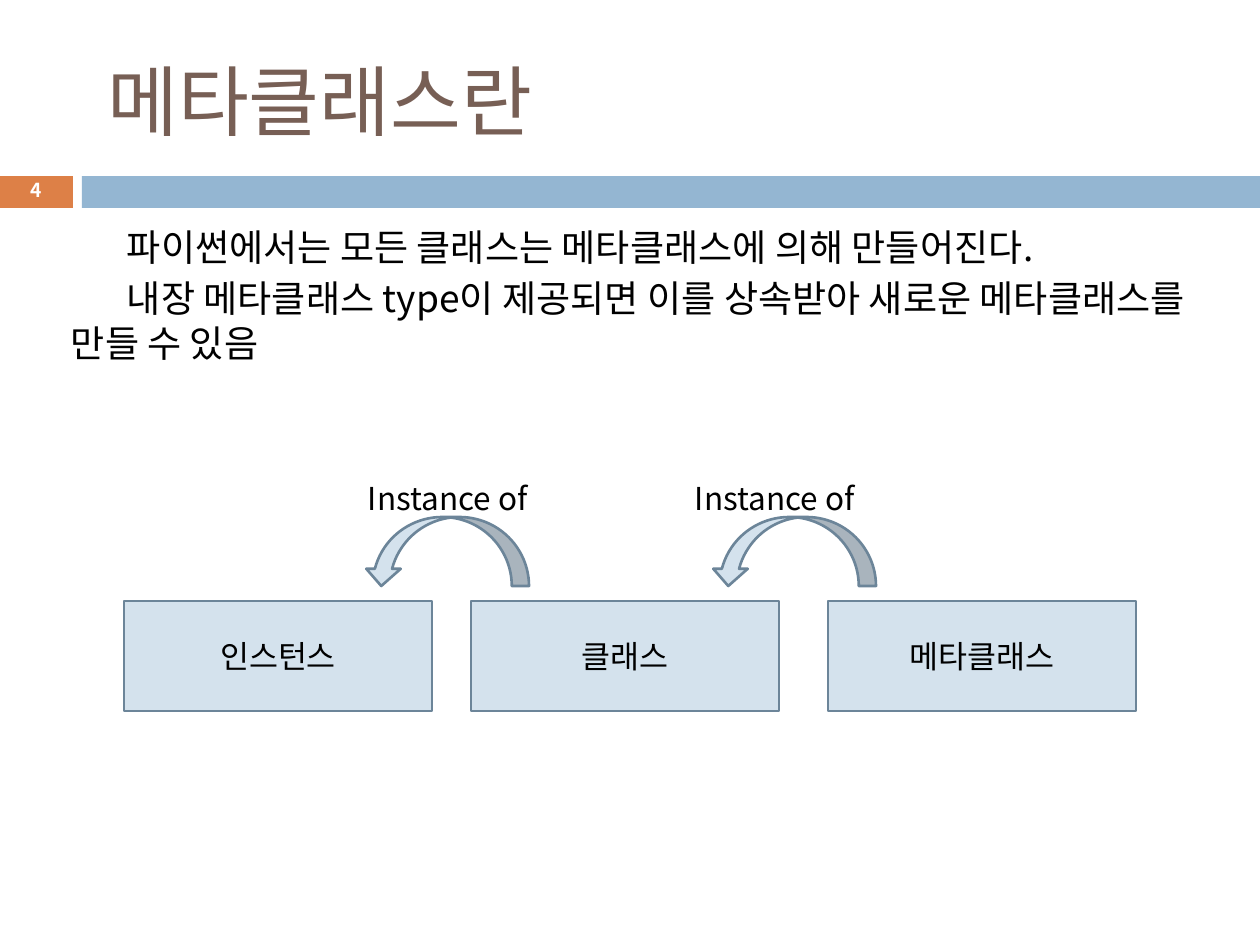
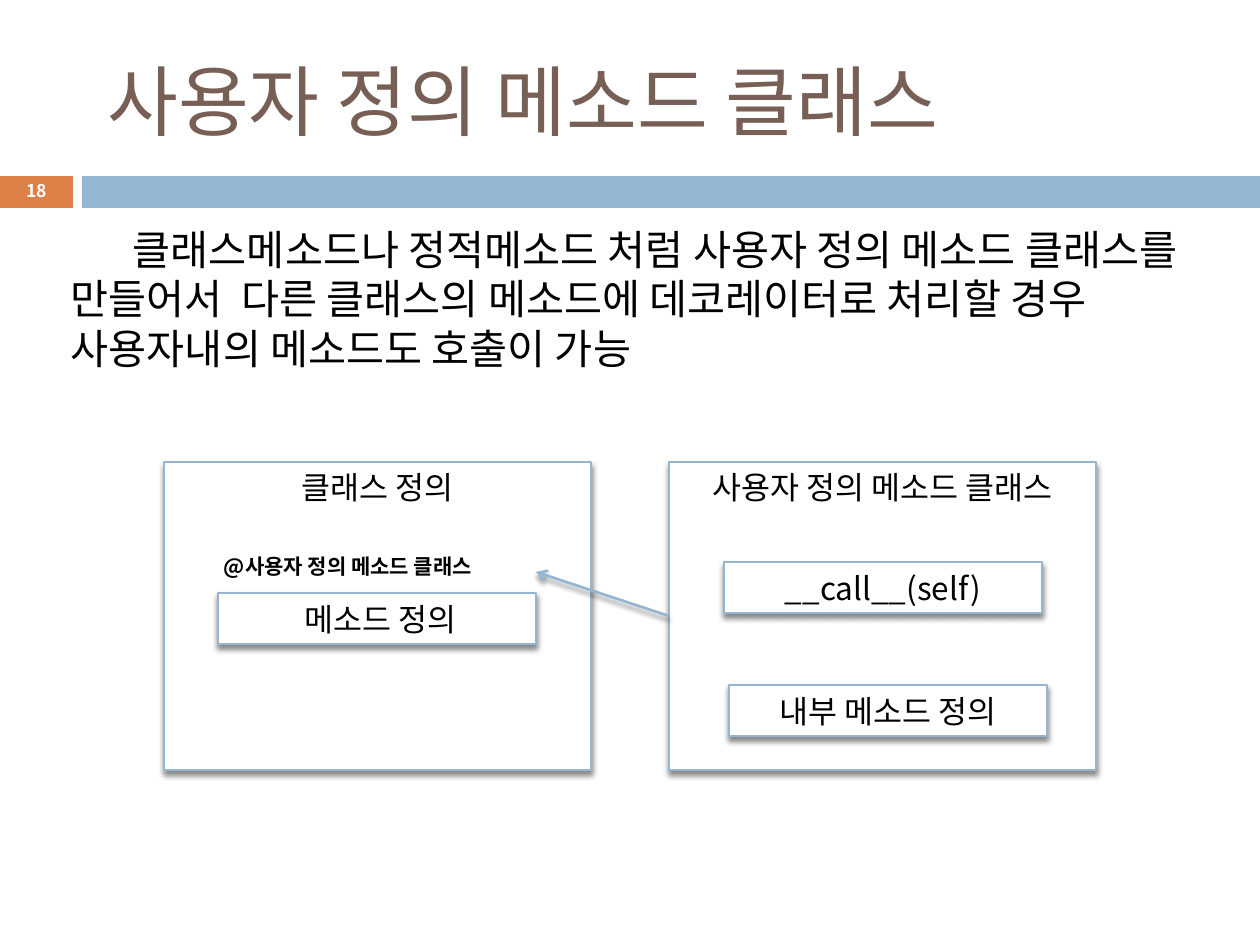
from lxml import etree
from pptx import Presentation
from pptx import util as u
from pptx.dml.color import RGBColor
from pptx.enum import shapes, text
from pptx.oxml import ns

SCALE = 914400 / 126  # EMU in one pixel
FONT = "Noto Sans CJK KR"
BLACK = RGBColor(0x00, 0x00, 0x00)
WHITE = RGBColor(0xFF, 0xFF, 0xFF)
BROWN = RGBColor(0x77, 0x5F, 0x55)
ORANGE = RGBColor(0xDD, 0x80, 0x47)
BLUE = RGBColor(0x94, 0xB6, 0xD2)
PALE_BLUE = RGBColor(0xD4, 0xE2, 0xED)
SLATE = RGBColor(0x6C, 0x85, 0x99)
INSET = 6
LEFT, CENTER = text.PP_ALIGN.LEFT, text.PP_ALIGN.CENTER
TOP, MIDDLE = text.MSO_ANCHOR.TOP, text.MSO_ANCHOR.MIDDLE


def px(*lengths):
    return [u.Emu(round(length * SCALE)) for length in lengths]


# Shared helpers
def write(shape, lines, size, color=BLACK, align=LEFT, anchor=TOP,
          bold=False, spacing=1.0, before=0, indent=0):
    frame = shape.text_frame
    frame.word_wrap = True
    frame.auto_size = text.MSO_AUTO_SIZE.NONE
    frame.vertical_anchor = anchor
    (frame.margin_left, frame.margin_top,
     frame.margin_right, frame.margin_bottom) = px(*[INSET] * 4)
    frame.text = "\n".join(lines)
    for paragraph in frame.paragraphs:
        paragraph.alignment = align
        paragraph.space_before = u.Pt(before)
        paragraph.line_spacing = spacing
        font = paragraph.font
        font.name, font.size, font.bold = FONT, u.Pt(size), bold
        font.color.rgb = color
        # East Asian glyphs and first-line indent
        properties = paragraph._p.get_or_add_pPr()
        etree.SubElement(properties.find(ns.qn("a:defRPr")), ns.qn("a:ea"), typeface=FONT)
        properties.set("marL", "0")
        properties.set("indent", str(px(indent)[0]))


def add_text(slide, box, lines, size, **style):
    write(slide.shapes.add_textbox(*px(*box)), lines, size, **style)


def add_box(slide, box, fill, line=None, kind=shapes.MSO_SHAPE.RECTANGLE):
    shape = slide.shapes.add_shape(kind, *px(*box))
    shape.shadow.inherit = False
    shape.fill.solid()
    shape.fill.fore_color.rgb = fill
    if line is None:
        shape.line.fill.background()
    else:
        shape.line.color.rgb = line
        shape.line.width = u.Pt(1.5)
    return shape


def drop_shadow(shape):
    properties = shape._element.spPr
    effects = properties.find(ns.qn("a:effectLst"))
    if effects is None:
        effects = etree.SubElement(properties, ns.qn("a:effectLst"))
    shadow = etree.SubElement(
        effects, ns.qn("a:outerShdw"), blurRad=str(u.Pt(3)), dist=str(u.Pt(2.4)),
        dir="5400000", rotWithShape="0")
    color = etree.SubElement(shadow, ns.qn("a:srgbClr"), val=str(BLACK))
    etree.SubElement(color, ns.qn("a:alpha"), val="45000")


def add_page(deck, title, number, number_size, body, body_size, indent):
    slide = deck.slides.add_slide(deck.slide_layouts[5])
    # Number marker and band
    marker = add_box(slide, (0, 176, 73, 32), ORANGE)
    write(marker, [number], number_size, WHITE, CENTER, MIDDLE, bold=True, spacing=0.8)
    add_box(slide, (82, 176, 1178, 32), BLUE)
    # Title
    heading = slide.shapes.title
    heading.left, heading.top, heading.width, heading.height = px(84, 32, 1124, 136)
    write(heading, [title], 44, BROWN, anchor=MIDDLE)
    # Body
    add_text(slide, (65, 218, 1134, 185), body, body_size, before=4, indent=indent)
    return slide


# Slide: chain of instances
def add_chain(slide, left, top):
    for offset, name in ((0, "인스턴스"), (347, "클래스"), (704, "메타클래스")):
        node = add_box(slide, (left + offset, top, 308, 110), PALE_BLUE, SLATE)
        write(node, [name], 18, align=CENTER, anchor=MIDDLE)
    for arrow_offset, label_offset in ((288, 238), (635, 565)):
        arrow = add_box(slide, (left + arrow_offset, top - 132, 69, 165), PALE_BLUE, SLATE,
                        shapes.MSO_SHAPE.CURVED_RIGHT_ARROW)
        arrow.rotation = 90
        add_text(slide, (left + label_offset, top - 128, 208, 50), ["Instance of"], 18)


# Slide: class panels
def add_framed(slide, box, label, anchor=MIDDLE):
    framed = add_box(slide, box, WHITE, BLUE)
    drop_shadow(framed)
    write(framed, [label], 18, align=CENTER, anchor=anchor)


def add_panel(slide, left, top, heading, methods):
    add_framed(slide, (left, top, 427, 308), heading, TOP)
    for x, y, label in methods:
        add_framed(slide, (left + x, top + y, 318, 51), label)


def add_decorator(slide, left, top):
    add_text(slide, (left + 54, top + 86, 318, 38),
             ["@사용자 정의 메소드 클래스"], 12, bold=True)
    arrow = slide.shapes.add_connector(
        shapes.MSO_CONNECTOR.STRAIGHT,
        *px(left + 505, top + 154, left + 372, top + 110))
    arrow.line.color.rgb = BLUE
    arrow.line.width = u.Pt(1.5)
    etree.SubElement(arrow.line._get_or_add_ln(), ns.qn("a:tailEnd"), type="arrow")
    drop_shadow(arrow)


deck = Presentation()
deck.slide_width, deck.slide_height = px(1260, 945)

metaclass = add_page(
    deck, " 메타클래스란", "4", 11,
    ["파이썬에서는 모든 클래스는 메타클래스에 의해 만들어진다.",
     "내장 메타클래스 type이 제공되면 이를 상속받아 새로운 메타클래스를 만들 수 있음"],
    21.2, 56)
add_chain(metaclass, 124, 601)

method_class = add_page(
    deck, " 사용자 정의 메소드 클래스", "18", 10,
    ["클래스메소드나 정적메소드 처럼 사용자 정의 메소드 클래스를 만들어서  다른 클래스의 "
     "메소드에 데코레이터로 처리할 경우 사용자내의 메소드도 호출이 가능"],
    23.6, 62)
add_panel(method_class, 669, 462, "사용자 정의 메소드 클래스",
          [(55, 100, "__call__(self)"), (60, 223, "내부 메소드 정의")])
add_panel(method_class, 164, 462, "클래스 정의", [(54, 131, " 메소드 정의")])
add_decorator(method_class, 164, 462)

deck.save("out.pptx")
